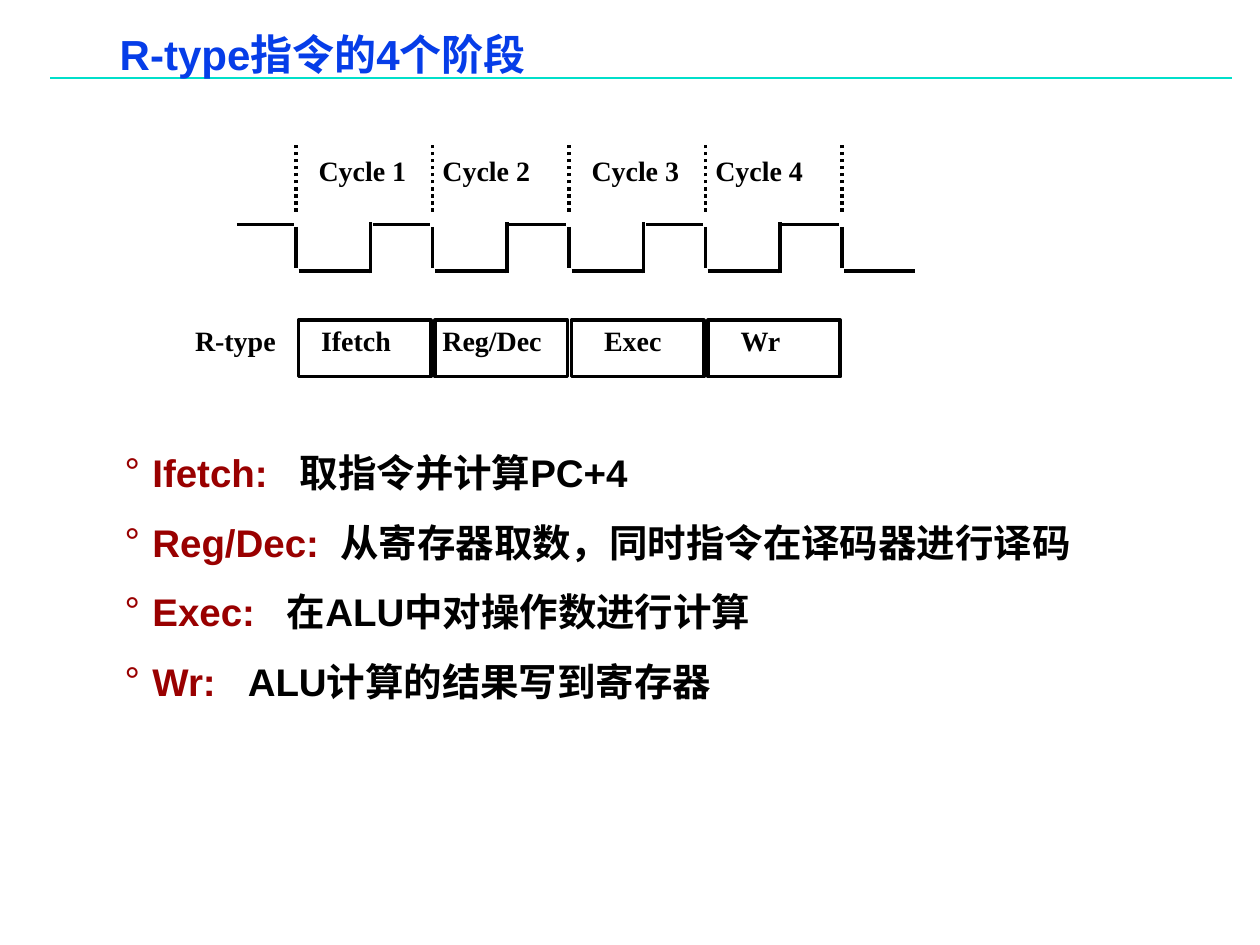
from lxml.etree import SubElement
from pptx import Presentation
from pptx.dml.color import RGBColor
from pptx.enum.dml import MSO_LINE
from pptx.enum.shapes import MSO_CONNECTOR, MSO_SHAPE
from pptx.oxml.ns import qn
from pptx.util import Inches, Pt

THEME = {
    "title": "063DE8", "rule": "00DFCA", "ink": "000000", "term": "990000",
    "sans": "Arial", "serif": "Times New Roman",
    "title_size": 24, "body_size": 22, "label_size": 16,
    "rule_width": 1, "signal_width": 2,
}

# Clock grid: one column per cycle
GRID_LEFT, CYCLE = 2.35, 1.083
HIGH, LOW = 1.78, 2.15
GAP = 0.02
HALF = 0.59

prs = Presentation()
prs.slide_width, prs.slide_height = Inches(10), Inches(7.5)
slide = prs.slides.add_slide(prs.slide_layouts[6])


def add_line(x1, y1, x2, y2, color="ink", width="signal_width"):
    line = slide.shapes.add_connector(
        MSO_CONNECTOR.STRAIGHT, Inches(x1), Inches(y1), Inches(x2), Inches(y2))
    line.line.color.rgb = RGBColor.from_string(THEME[color])
    line.line.width = Pt(THEME[width])
    SubElement(line._element.spPr, qn("a:effectLst"))
    return line


def add_text(x, y, w, h, paragraphs, size, font, inset=(0.1, 0.05, 0), wrap=False):
    """Each paragraph lists (text, colour, extra letter spacing); inset is left, vertical, right."""
    frame = slide.shapes.add_textbox(Inches(x), Inches(y), Inches(w), Inches(h)).text_frame
    frame.word_wrap = wrap
    frame.margin_left, frame.margin_right = Inches(inset[0]), Inches(inset[2])
    frame.margin_top = frame.margin_bottom = Inches(inset[1])
    for index, pieces in enumerate(paragraphs):
        paragraph = frame.paragraphs[0] if index == 0 else frame.add_paragraph()
        for text, color, spacing in pieces:
            run = paragraph.add_run()
            run.text = text
            run.font.size = Pt(THEME[size])
            run.font.name = THEME[font]
            run.font.bold = True
            run.font.color.rgb = RGBColor.from_string(THEME[color])
            if spacing:
                run.font._element.set("spc", str(int(spacing * 100)))
    return frame


# Title and rule
add_line(0.4, 0.62, 9.78, 0.62, "rule", "rule_width")
title = add_text(0.88, 0.25, 5.85, 0.4, [[("R-type指令的4个阶段", "title", 0)]],
                 "title_size", "sans", (0.07, 0.03, 0.07), True)
title.paragraphs[0].line_spacing = 0.87

# Clock signal: each edge falls, all but the last rise again
add_line(GRID_LEFT - HALF + 0.12, HIGH, GRID_LEFT - GAP, HIGH)
for edge in range(5):
    x = GRID_LEFT + edge * CYCLE
    add_line(x, 1.68, x, 1.15).line.dash_style = MSO_LINE.ROUND_DOT
    add_line(x, HIGH + GAP, x, LOW - GAP)
    add_line(x + GAP, LOW, x + HALF - GAP / 2, LOW)
    if edge < 4:
        add_line(x + HALF, LOW + GAP, x + HALF, HIGH - GAP)
        add_line(x + HALF + GAP, HIGH, x + CYCLE - GAP, HIGH)

# Cycle labels and stage boxes: stage, label offset, stage offset, stage width
stages = [
    ("Ifetch", 0.08, 0.10, 0.75),
    ("Reg/Dec", -0.02, -0.02, 0.99),
    ("Exec", 0.08, 0.18, 0.65),
    ("Wr", -0.02, 0.18, 0.52),
]
for column, (stage, cycle_shift, stage_shift, stage_width) in enumerate(stages):
    x = GRID_LEFT + column * CYCLE
    add_text(x + cycle_shift, 1.17, 0.89, 0.36, [[(f"Cycle {column + 1}", "ink", 0)]],
             "label_size", "serif")
    box = slide.shapes.add_shape(MSO_SHAPE.RECTANGLE, Inches(x + GAP), Inches(2.54),
                                 Inches(1.05), Inches(0.45))
    box.shadow.inherit = False
    box.fill.background()
    box.line.color.rgb = RGBColor.from_string(THEME["ink"])
    box.line.width = Pt(THEME["signal_width"])
    add_text(x + stage_shift, 2.52, stage_width, 0.36, [[(stage, "ink", 0)]],
             "label_size", "serif")
add_text(1.45, 2.52, 0.84, 0.36, [[("R-type", "ink", 0)]], "label_size", "serif")

# Stage explanations: term, widened gap, meaning
meanings = [
    ("Ifetch:", 12.2, "取指令并计算PC+4"),
    ("Reg/Dec:", 6.1, "从寄存器取数，同时指令在译码器进行译码"),
    ("Exec:", 12.2, "在ALU中对操作数进行计算"),
    ("Wr:", 12.2, "ALU计算的结果写到寄存器"),
]
explanations = add_text(
    0.92, 3.46, 7.83, 2.16,
    [[(term, "term", 0), (" ", "term", gap), (meaning, "ink", 0)]
     for term, gap, meaning in meanings],
    "body_size", "sans", (0.07, 0.03, 0.07), True)
for paragraph in explanations.paragraphs:
    paragraph.line_spacing = 1.2
    paragraph.space_before = Pt(8.2)
    props = paragraph._p.get_or_add_pPr()
    props.set("marL", str(Inches(0.22)))
    props.set("indent", str(Inches(-0.22)))
    bullet_color = SubElement(props, qn("a:buClr"))
    SubElement(bullet_color, qn("a:srgbClr"), val=THEME["term"])
    SubElement(props, qn("a:buFont"), typeface=THEME["sans"])
    SubElement(props, qn("a:buChar"), char="°")

prs.save("out.pptx")
